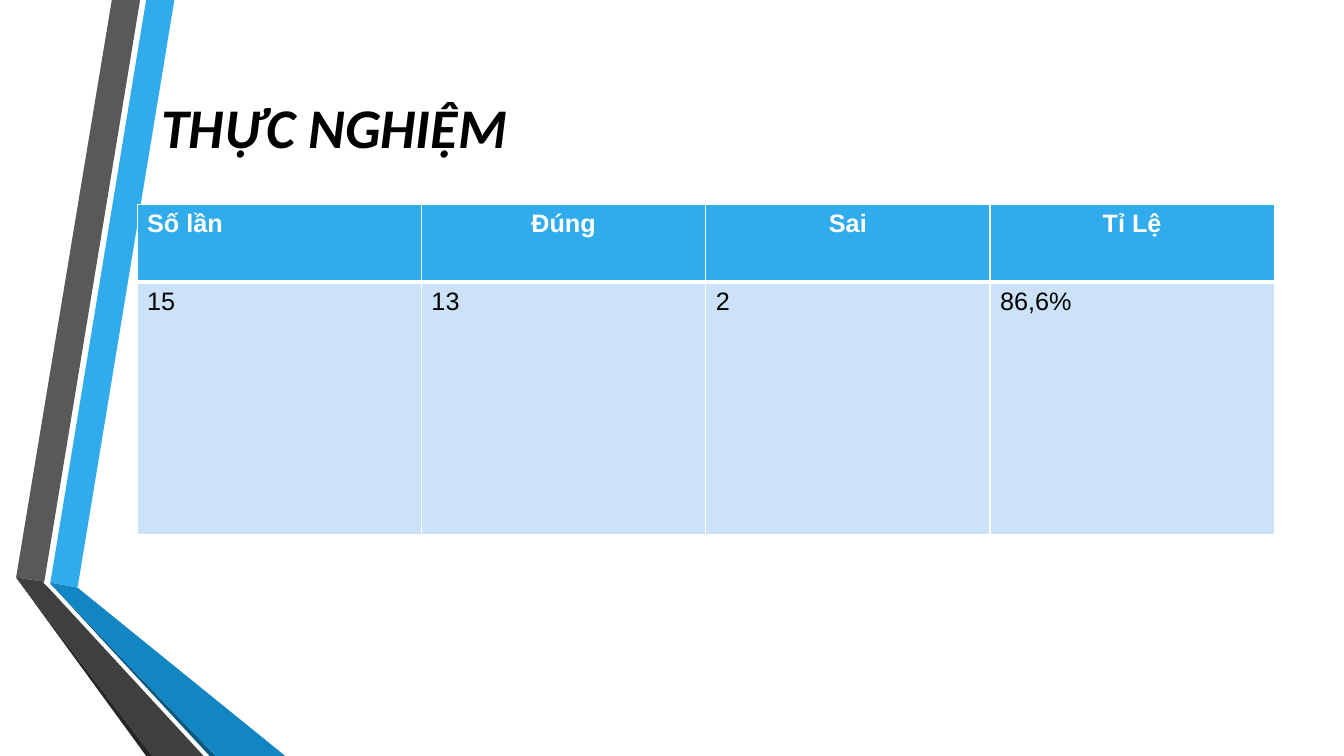
"""Build the slide reporting the experiment's success rate."""
from lxml import etree
from pptx import Presentation
from pptx.dml.color import RGBColor
from pptx.enum.text import MSO_ANCHOR, PP_ALIGN
from pptx.oxml.ns import qn
from pptx.util import Inches, Pt

MIDDLE = MSO_ANCHOR.MIDDLE
LEFT, CENTER = PP_ALIGN.LEFT, PP_ALIGN.CENTER

COLORS = {
    "blue": "30ACEC", "mid_blue": "1186C3", "deep_blue": "0B5982",
    "gray": "595959", "dark_gray": "3F3F3F", "deep_gray": "262626",
    "pale_blue": "CCE2F8", "white": "FFFFFF", "black": "000000",
}

RIBBON_FACETS = [
    ("blue", [(0.5, 5.78), (0.77, 5.83), (1.73, 0), (1.45, 0)]),
    ("gray", [(1.39, 0), (1.11, 0), (0.16, 5.73), (0.44, 5.77)]),
    ("deep_gray", [(0.16, 5.73), (1.45, 7.5), (1.51, 7.5)]),
    ("deep_blue", [(0.5, 5.79), (2.08, 7.5), (2.14, 7.5)]),
    ("mid_blue", [(0.5, 5.78), (0.5, 5.79), (2.14, 7.5), (2.83, 7.5), (0.77, 5.83)]),
    ("dark_gray", [(2.02, 7.5), (0.48, 5.83), (0.43, 5.78), (0.44, 5.77),
                   (0.16, 5.73), (1.51, 7.5)]),
]

HEADINGS = ["Số lần", "Đúng", "Sai", "Tỉ Lệ"]
RESULTS = ["15", "13", "2", "86,6%"]
ROW_HEIGHTS = [0.77, 2.5]


def rgb(name):
    """Return the named palette colour."""
    return RGBColor.from_string(COLORS[name])


def style_font(paragraph, font_name, size, color, bold, italic=False):
    """Format every run of a paragraph."""
    for run in paragraph.runs:
        font = run.font
        font.name, font.size = font_name, Pt(size)
        font.bold, font.italic = bold, italic
        font.color.rgb = rgb(color)


def add_ribbons(slide, left, top):
    """Draw the folded ribbons from the given corner."""
    for color, points in RIBBON_FACETS:
        corners = [(Inches(left + x), Inches(top + y)) for x, y in points]
        outline = slide.shapes.build_freeform(*corners[0])
        outline.add_line_segments(corners[1:], close=True)
        facet = outline.convert_to_shape()
        facet.shadow.inherit = False
        facet.fill.solid()
        facet.fill.fore_color.rgb = rgb(color)
        facet.line.fill.background()


def add_title(slide, left, top, width, height):
    """Place the heading, vertically centred in its box."""
    title = slide.shapes.add_textbox(
        Inches(left), Inches(top), Inches(width), Inches(height))
    frame = title.text_frame
    frame.word_wrap = True
    frame.vertical_anchor = MIDDLE
    frame.text = "THỰC NGHIỆM"
    style_font(frame.paragraphs[0], "Calibri", 40, "black", True, True)


def add_borders(cell, widths):
    """Give a cell white borders, with widths in points by side."""
    properties = cell._tc.get_or_add_tcPr()
    for side, width in widths.items():
        border = etree.SubElement(properties, qn(f"a:ln{side}"), w=str(Pt(width)))
        fill = etree.SubElement(border, qn("a:solidFill"))
        etree.SubElement(fill, qn("a:srgbClr"), val=COLORS["white"])


def fill_cell(cell, text, is_heading, alignment):
    """Write and style one table cell."""
    add_borders(cell, {"L": 1, "R": 1, "T": 1 if is_heading else 3,
                       "B": 3 if is_heading else 1})
    cell.fill.solid()
    cell.fill.fore_color.rgb = rgb("blue" if is_heading else "pale_blue")
    cell.text = text
    paragraph = cell.text_frame.paragraphs[0]
    paragraph.alignment = alignment
    style_font(paragraph, "Arial", 18, "white" if is_heading else "black", is_heading)


def add_results_table(slide, left, top, width):
    """Place the results table with equal columns across the width."""
    results = slide.shapes.add_table(
        len(ROW_HEIGHTS), len(HEADINGS), Inches(left), Inches(top),
        Inches(width), Inches(sum(ROW_HEIGHTS))).table
    for column in results.columns:
        column.width = Inches(width / len(HEADINGS))
    for row, height in zip(results.rows, ROW_HEIGHTS):
        row.height = Inches(height)
    for index, (heading, result) in enumerate(zip(HEADINGS, RESULTS)):
        fill_cell(results.cell(0, index), heading, True, CENTER if index else LEFT)
        fill_cell(results.cell(1, index), result, False, LEFT)


def main():
    """Assemble and save the slide."""
    deck = Presentation()
    deck.slide_width, deck.slide_height = Inches(13.33), Inches(7.5)
    slide = deck.slides.add_slide(deck.slide_layouts[6])
    slide.background.fill.solid()
    slide.background.fill.fore_color.rgb = rgb("white")
    add_ribbons(slide, 0, 0)
    add_title(slide, 1.5, 0.29, 10.96, 1.92)
    add_results_table(slide, 1.36, 2.03, 11.28)
    deck.save("out.pptx")


if __name__ == "__main__":
    main()
